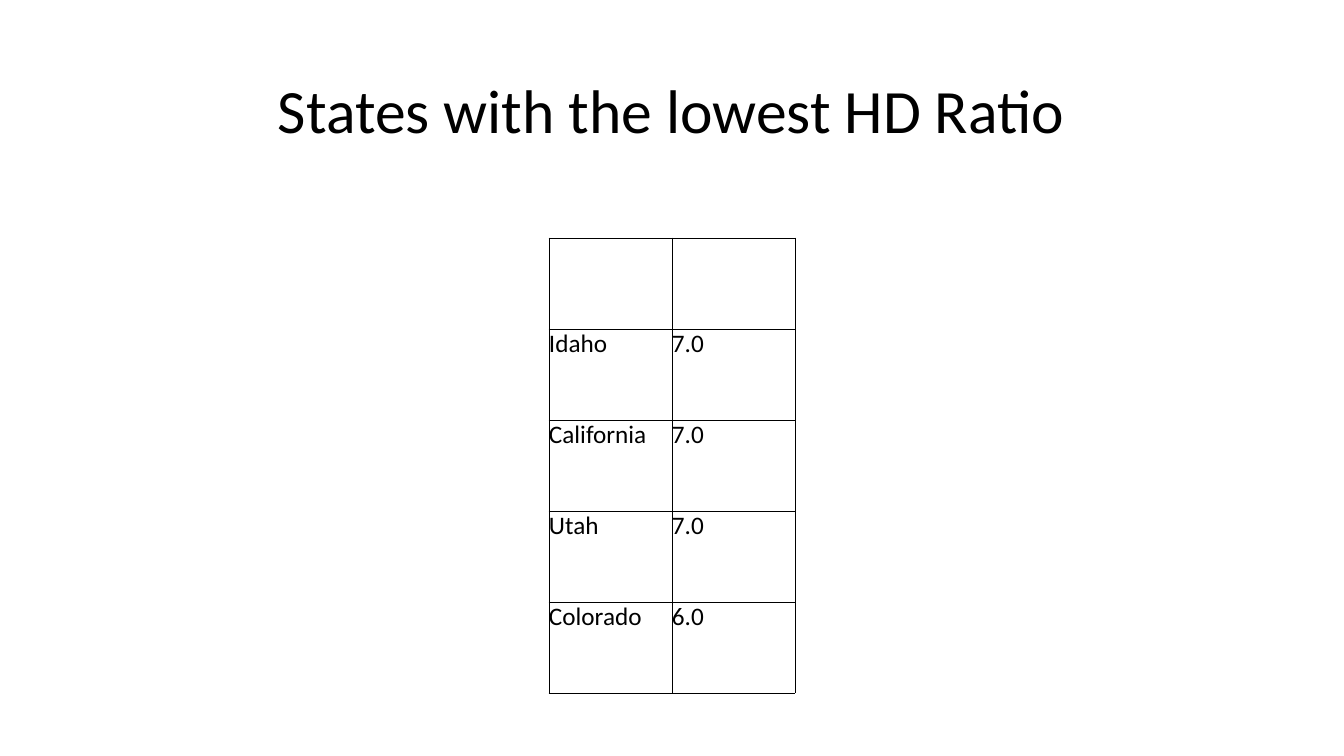
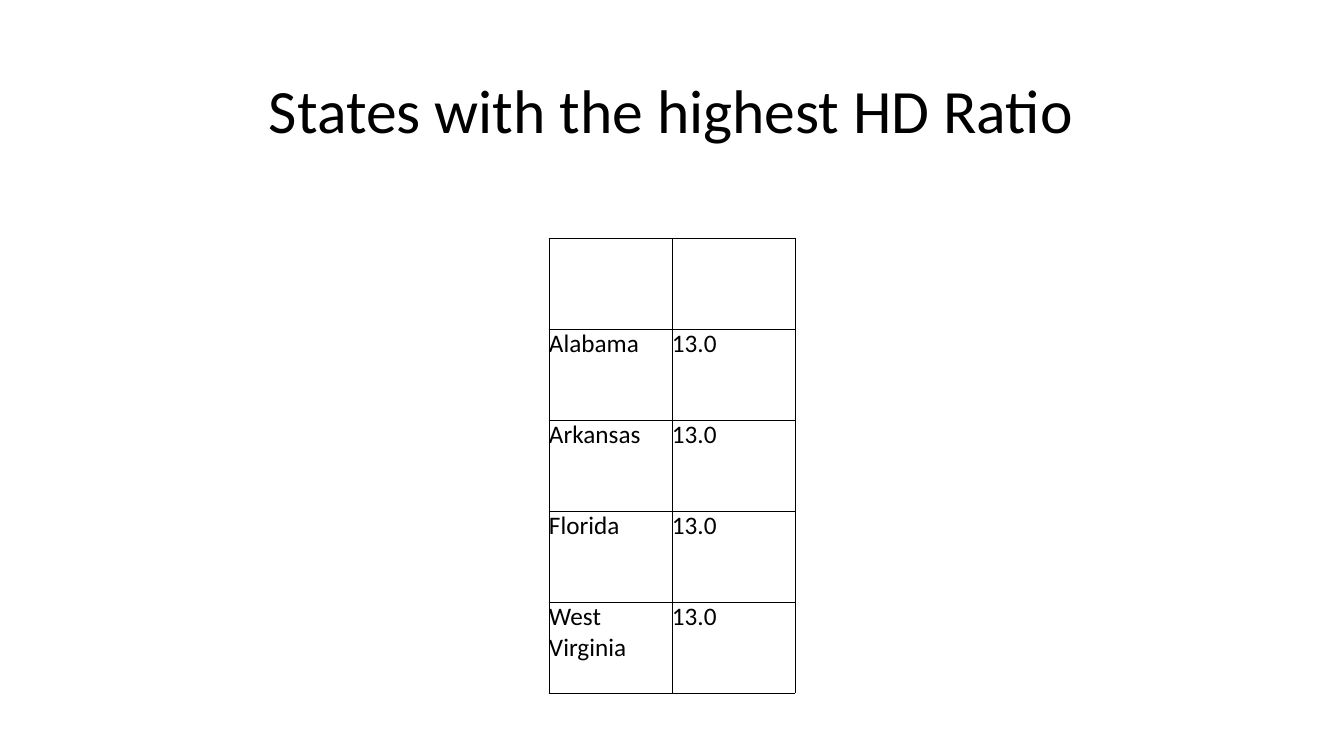
from pptx import Presentation
from pptx.dml.color import RGBColor
from pptx.enum.text import MSO_ANCHOR, PP_ALIGN
from pptx.oxml import parse_xml
from pptx.oxml.ns import nsdecls
from pptx.util import Pt

PX = 914400 / 100.8
FONT = "Calibri"
BLACK = "000000"
COL_W, ROW_H = 123, 91
TABLE_LEFT, TABLE_TOP = 549, 238


def px(n):
    return round(n * PX)


def style(p, size, color):
    p.font.name, p.font.size, p.font.bold = FONT, Pt(size), False
    p.font.color.rgb = RGBColor.from_string(color)


# Each table opens with a blank row
slides = [
    ("States with the lowest HD Ratio",
     [("", ""), ("Idaho", "7.0"), ("California", "7.0"),
      ("Utah", "7.0"), ("Colorado", "6.0")]),
    ("States with the highest HD Ratio",
     [("", ""), ("Alabama", "13.0"), ("Arkansas", "13.0"),
      ("Florida", "13.0"), ("West Virginia", "13.0")]),
]

prs = Presentation()
prs.slide_width, prs.slide_height = px(1344), px(756)

for title, rows in slides:
    s = prs.slides.add_slide(prs.slide_layouts[5])

    # Title
    sp = s.shapes.title
    sp.left, sp.top, sp.width, sp.height = px(92), px(41), px(1159), px(146)
    tf = sp.text_frame
    tf.text = title
    tf.word_wrap = True
    tf.vertical_anchor = MSO_ANCHOR.MIDDLE
    tf.margin_left = tf.margin_right = tf.margin_top = tf.margin_bottom = px(5)
    p = tf.paragraphs[0]
    p.alignment, p.line_spacing = PP_ALIGN.CENTER, 0.9
    style(p, 44, BLACK)

    # Table
    n_rows, n_cols = len(rows), len(rows[0])
    table = s.shapes.add_table(n_rows, n_cols, px(TABLE_LEFT), px(TABLE_TOP),
                               px(COL_W * n_cols), px(ROW_H * n_rows)).table
    table.first_row = table.horz_banding = False
    for col in table.columns:
        col.width = px(COL_W)
    for i, values in enumerate(rows):
        table.rows[i].height = px(ROW_H)
        for j, value in enumerate(values):
            cell = table.cell(i, j)
            cell.text = value
            cell.margin_left = cell.margin_right = 0
            cell.margin_top = cell.margin_bottom = 0
            style(cell.text_frame.paragraphs[0], 18, BLACK)

            # Borders on all four sides, no fill
            tc_pr = cell._tc.get_or_add_tcPr()
            for side in "LRTB":
                tc_pr.append(parse_xml(
                    f'<a:ln{side} {nsdecls("a")} w="{Pt(0.5)}"><a:solidFill>'
                    f'<a:srgbClr val="{BLACK}"/></a:solidFill></a:ln{side}>'))
            cell.fill.background()

prs.save("out.pptx")
